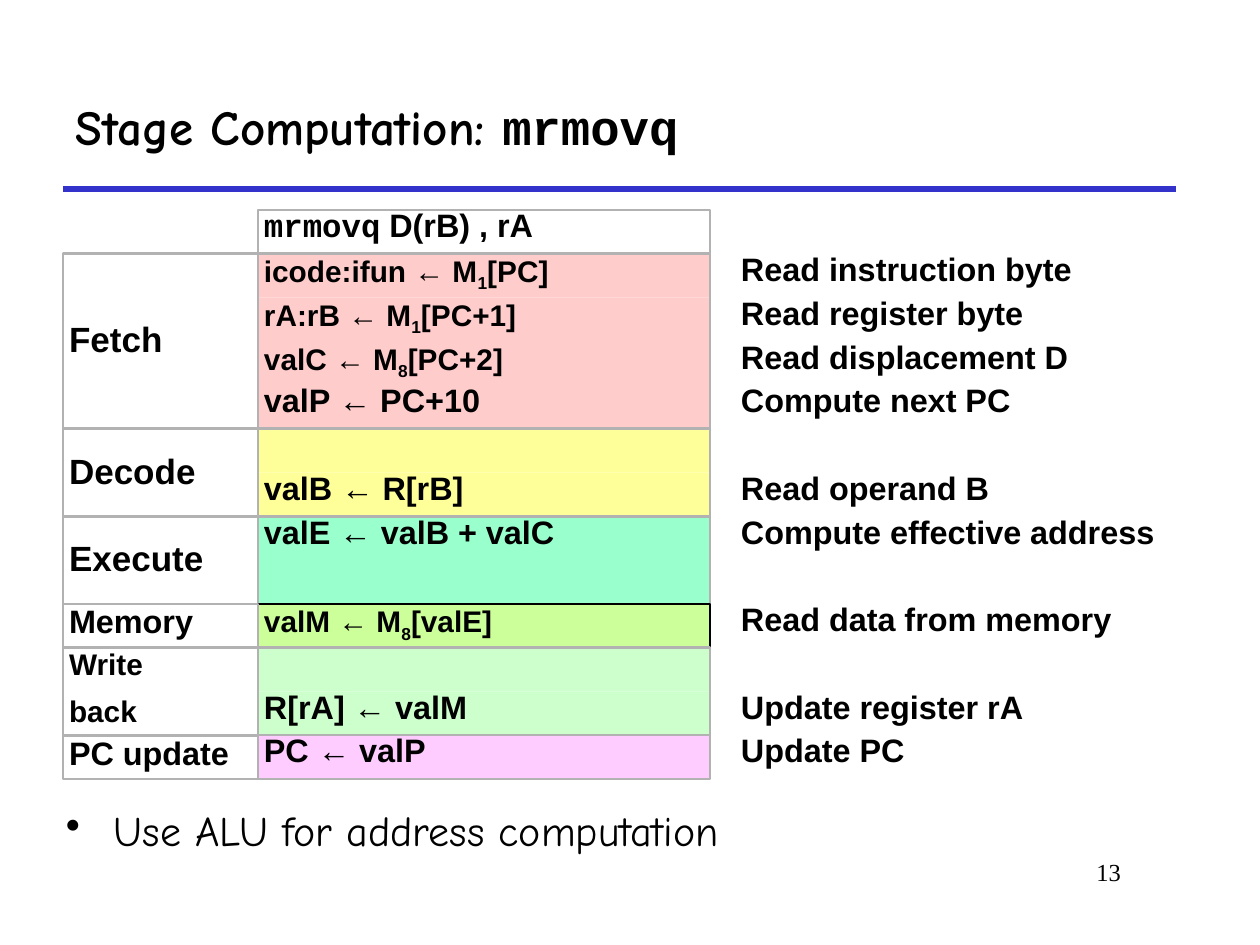
from pptx import Presentation
from pptx.dml.color import RGBColor
from pptx.enum.shapes import MSO_CONNECTOR as Connector, MSO_SHAPE as Shape
from pptx.enum.text import MSO_ANCHOR as Anchor, PP_ALIGN as Align
from pptx.util import Emu, Pt
from lxml.etree import SubElement
from pptx.oxml.ns import qn

PX = 914400 / 126
GREY, BLACK = "B2B2B2", "000000"
LABEL_X, CODE_X, NOTE_X = 63, 258, 735
LABEL_W, CODE_W = 195, 452
TABLE_TOP, TABLE_HEIGHT, ROW_COUNT = 210, 569, 13
ROW = TABLE_HEIGHT / ROW_COUNT


def color(value):
    return RGBColor.from_string(value)


def add_box(area, text="", size=18.5, font="Arial", bold=True, fill=None, line=None,
            spacing=0.7, anchor=Anchor.TOP, insets=(6, 6)):
    """Add a box; text between tildes is set as a subscript."""
    left, top, width, height = (Emu(round(value * PX)) for value in area)
    if fill or line:
        box = page.shapes.add_shape(Shape.RECTANGLE, left, top, width, height)
        box.shadow.inherit = False
        if fill:
            box.fill.solid()
            box.fill.fore_color.rgb = color(fill)
        else:
            box.fill.background()
        if line:
            box.line.color.rgb = color(line)
            box.line.width = Pt(1.5)
        else:
            box.line.fill.background()
    else:
        box = page.shapes.add_textbox(left, top, width, height)
    if not text:
        return box
    frame = box.text_frame
    frame.word_wrap = True
    frame.vertical_anchor = anchor
    frame.margin_left = frame.margin_right = Emu(round(insets[0] * PX))
    frame.margin_top = frame.margin_bottom = Emu(round(insets[1] * PX))
    for index, line_text in enumerate(text.split("\n")):
        para = frame.add_paragraph() if index else frame.paragraphs[0]
        para.alignment = Align.LEFT
        para.line_spacing = spacing
        if index:
            para.space_before = Pt(12.5)
        para.font.size = Pt(size)
        para.font.name = font
        para.font.bold = bold
        para.font.color.rgb = color(BLACK)
        for part, words in enumerate(line_text.split("~")):
            span = para.add_run()
            span.text = words
            if part % 2:
                span.font._element.set("baseline", "-25000")
    return box


deck = Presentation()
deck.slide_width, deck.slide_height = Emu(round(1260 * PX)), Emu(round(945 * PX))
page = deck.slides.add_slide(deck.slide_layouts[6])

# Title and rule
rule = page.shapes.add_connector(
    Connector.STRAIGHT, *(Emu(round(value * PX)) for value in (63, 189, 1176, 189)))
rule.line.color.rgb = color("3333CC")
rule.line.width = Pt(3)
SubElement(rule._element.spPr, qn("a:effectLst"))

title = add_box((63, 63, 1113, 126), "Stage Computation: ", 28, "Comic Neue",
                spacing=1.0, anchor=Anchor.MIDDLE, insets=(13, 6))
span = title.text_frame.paragraphs[0].add_run()
span.text = "mrmovq"
span.font.name = "Courier New"

# Instruction header
header = add_box((CODE_X, TABLE_TOP, CODE_W, ROW), "mrmovq~~ D(rB) , rA", line=GREY)
header.text_frame.paragraphs[0].runs[0].font.name = "Courier New"

# Stages: label, label size, label spacing, fill, frame, rows of (code, note)
stages = [
    ("Fetch", 20, 0.9, "FFCCCC", GREY, [
        ("icode:ifun ← M~1~[PC]", "Read instruction byte"),
        ("rA:rB ← M~1~[PC+1]", "Read register byte"),
        ("valC ← M~8~[PC+2]", "Read displacement D"),
        ("valP ← PC+10", "Compute next PC")]),
    ("Decode", 20, 0.9, "FFFF99", GREY, [
        ("", ""), ("valB ← R[rB]", "Read operand B")]),
    ("Execute", 20, 0.9, "99FFCC", GREY, [
        ("valE ← valB + valC", "Compute effective address"), ("", "")]),
    ("Memory", 18.5, 0.7, "CCFF99", BLACK, [
        ("valM ← M~8~[valE]", "Read data from memory")]),
    ("Write\nback", 17, 0.7, "CCFFCC", GREY, [
        ("", ""), ("R[rA] ← valM", "Update register rA")]),
    ("PC update", 18.5, 0.7, "FFCCFF", GREY, [
        ("PC ← valP", "Update PC")]),
]
top = TABLE_TOP + ROW
for label, label_size, label_spacing, fill, frame_color, rows in stages:
    height = len(rows) * ROW
    single = len(rows) == 1
    for index, (code, note) in enumerate(rows):
        row_top = top + index * ROW
        add_box((CODE_X, row_top, CODE_W, ROW), code, 17 if "~" in code else 18.5,
                fill=fill, line=frame_color if single else None)
        if note:
            add_box((NOTE_X, row_top, CODE_W, ROW), note)
    if not single:
        add_box((CODE_X, top, CODE_W, height), line=frame_color)
    add_box((LABEL_X, top, LABEL_W, height), label, label_size, line=GREY,
            spacing=label_spacing, anchor=Anchor.MIDDLE)
    top += height

# Bullet
remark = add_box((53, 799, 1144, 73), "Use ALU for address computation", 24,
                 "Comic Neue", bold=False, spacing=1.0, insets=(13, 6))
properties = remark.text_frame.paragraphs[0]._p.get_or_add_pPr()
properties.set("marL", str(round(48 * PX)))
properties.set("indent", str(round(-48 * PX)))
bullet = properties.makeelement(qn("a:buChar"), {"char": "•"})
properties.find(qn("a:defRPr")).addprevious(bullet)

# Page number
number = add_box((955, 851, 179, 63), "13", 14, "Times New Roman", bold=False,
                 spacing=1.0, insets=(13, 6))
number.text_frame.paragraphs[0].alignment = Align.RIGHT

deck.save("out.pptx")
